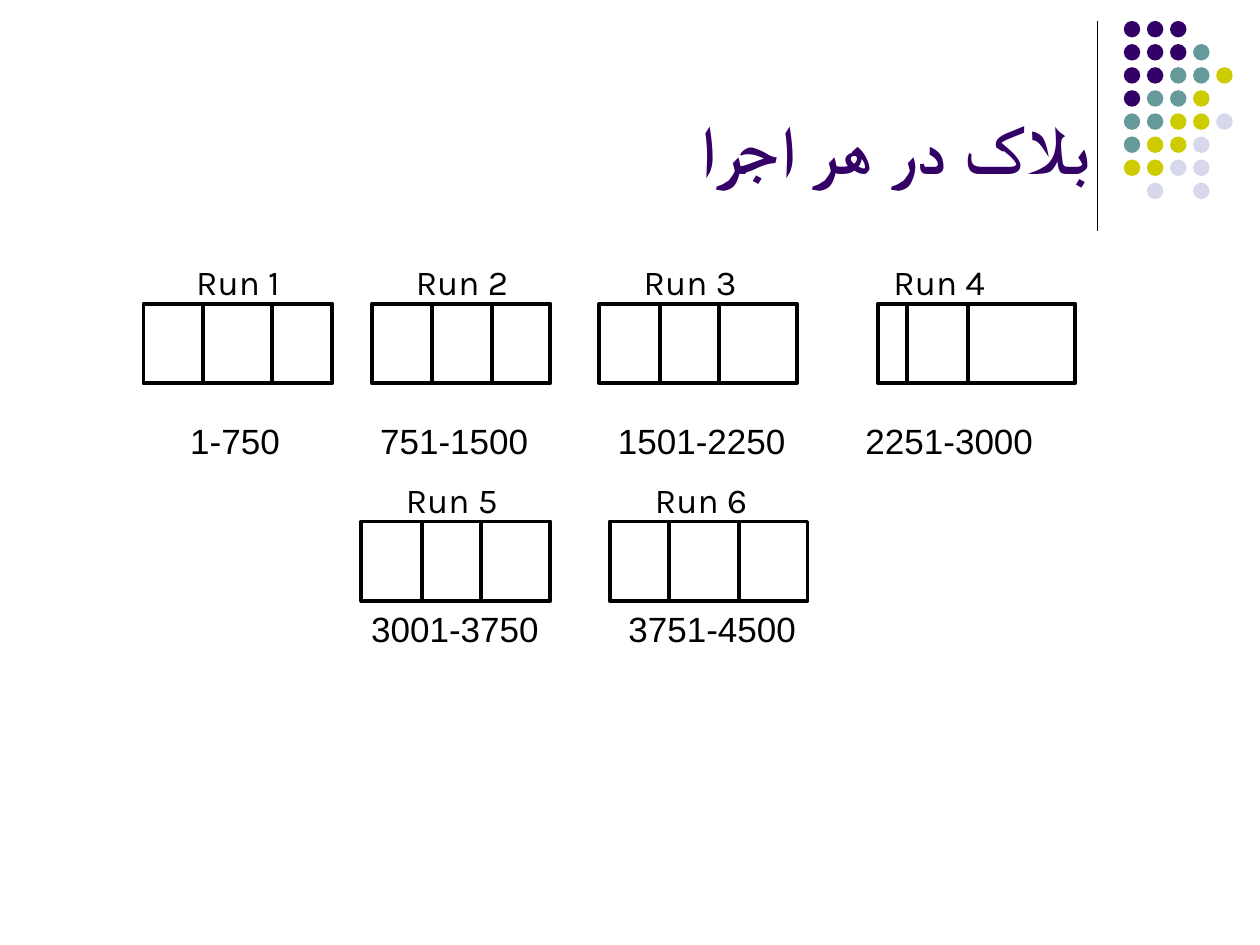
from lxml import etree
from pptx import Presentation
from pptx.dml.color import RGBColor
from pptx.enum.shapes import MSO_CONNECTOR, MSO_SHAPE
from pptx.enum.text import MSO_ANCHOR, MSO_AUTO_SIZE, PP_ALIGN
from pptx.oxml.ns import qn
from pptx.util import Pt

STRAIGHT = MSO_CONNECTOR.STRAIGHT
RECT, OVAL = MSO_SHAPE.RECTANGLE, MSO_SHAPE.OVAL
BOTTOM, TOP = MSO_ANCHOR.BOTTOM, MSO_ANCHOR.TOP
NO_FIT, GROW = MSO_AUTO_SIZE.NONE, MSO_AUTO_SIZE.SHAPE_TO_FIT_TEXT
RIGHT = PP_ALIGN.RIGHT

BLACK = RGBColor(0x00, 0x00, 0x00)
WHITE = RGBColor(0xFF, 0xFF, 0xFF)
PURPLE = RGBColor(0x33, 0x00, 0x66)
TEAL = RGBColor(0x66, 0x99, 0x99)
LIME = RGBColor(0xCC, 0xCC, 0x00)
LILAC = RGBColor(0xD8, 0xD8, 0xEC)

DOT_COLORS = {"P": PURPLE, "T": TEAL, "L": LIME, "G": LILAC}
DOT_ROWS = ["PPP", "PPPT", "PPTTL", "PTTL", "TTLLG", "TLLG", "LLGG", " G G"]
DOT_LEFT, DOT_TOP, DOT_STEP, DOT_SIZE = 642.2, 12, 13.2, 9.4

BLOCK_HEIGHT, TEXT_HEIGHT = 45.5, 31.5
TITLE_FORMAT = {"name": "Arial", "size": Pt(39), "bold": True}
LABEL_FORMAT = {"name": "Karla", "size": Pt(20), "bold": False}

# row: label top, block top, range top, then runs of
# (label, label span, block span, divider positions, range, range span)
ROWS = [
    (145.5, 173.5, 236, [
        ("Run 1", (93.5, 73.5), (82, 108), (116, 155.5), "1-750", (88, 79)),
        ("Run 2", (224, 73.5), (212.5, 102), (247, 281), "751-1500", (173, 136)),
        ("Run 3", (360, 68), (342.5, 113), (377, 411), "1501-2250", (326, 130)),
        ("Run 4", (502, 68), (501.5, 113), (518.5, 553), "2251-3000", (484.5, 113)),
    ]),
    (270, 298, 343.5, [
        ("Run 5", (218, 73.5), (206.5, 108), (241, 275), "3001-3750", (173, 142)),
        ("Run 6", (366, 68), (348.5, 113), (382.5, 422.5), "3751-4500", (337.5, 124.5)),
    ]),
]


def write(tf, text, fmt, color):
    p = tf.paragraphs[0]
    p.alignment = RIGHT
    r = p.add_run()
    r.text = text
    for name, value in fmt.items():
        setattr(r.font, name, value)
    r.font.color.rgb = color
    etree.SubElement(r.font._element, qn("a:cs")).set("typeface", "Arial")
    return p


def add_title(s, text):
    sp = s.shapes.title
    sp.left, sp.top, sp.width, sp.height = Pt(36), Pt(9.4), Pt(594), Pt(102)
    tf = sp.text_frame
    tf.auto_size = NO_FIT
    tf.vertical_anchor = BOTTOM
    write(tf, text, TITLE_FORMAT, PURPLE)


def add_text(s, text, span, top):
    left, width = span
    tf = s.shapes.add_textbox(Pt(left), Pt(top), Pt(width), Pt(TEXT_HEIGHT)).text_frame
    tf.word_wrap = True
    tf.auto_size = GROW
    tf.vertical_anchor = TOP
    p = write(tf, text, LABEL_FORMAT, BLACK)
    p._p.get_or_add_pPr().set("rtl", "1")


def add_shape(s, kind, left, top, width, height, fill, line_width=None):
    sp = s.shapes.add_shape(kind, Pt(left), Pt(top), Pt(width), Pt(height))
    sp.shadow.inherit = False
    sp.fill.solid()
    sp.fill.fore_color.rgb = fill
    if line_width:
        sp.line.color.rgb = BLACK
        sp.line.width = Pt(line_width)
    else:
        sp.line.fill.background()


def add_vertical(s, x, top, height, width):
    line = s.shapes.add_connector(STRAIGHT, Pt(x), Pt(top), Pt(x), Pt(top + height))
    line.line.color.rgb = BLACK
    line.line.width = Pt(width)
    etree.SubElement(line._element.spPr, qn("a:effectLst"))


def add_dots(s):
    for row, codes in enumerate(DOT_ROWS):
        for col, code in enumerate(codes):
            if code in DOT_COLORS:
                add_shape(s, OVAL, DOT_LEFT + col * DOT_STEP, DOT_TOP + row * DOT_STEP,
                          DOT_SIZE, DOT_SIZE, DOT_COLORS[code])


def add_block(s, span, top, dividers):
    left, width = span
    add_shape(s, RECT, left, top, width, BLOCK_HEIGHT, WHITE, 2.25)
    for x in dividers:
        add_vertical(s, x, top, BLOCK_HEIGHT, 2.25)


def main():
    prs = Presentation()
    prs.slide_width, prs.slide_height = Pt(720), Pt(540)
    s = prs.slides.add_slide(prs.slide_layouts[5])
    add_vertical(s, 627, 12, 120, 0.75)
    add_dots(s)
    add_title(s, "بلاک در هر اجرا")
    for label_top, block_top, range_top, runs in ROWS:
        for label, label_span, block_span, dividers, records, records_span in runs:
            add_block(s, block_span, block_top, dividers)
            add_text(s, label, label_span, label_top)
            add_text(s, records, records_span, range_top)
    prs.save("out.pptx")


if __name__ == "__main__":
    main()
